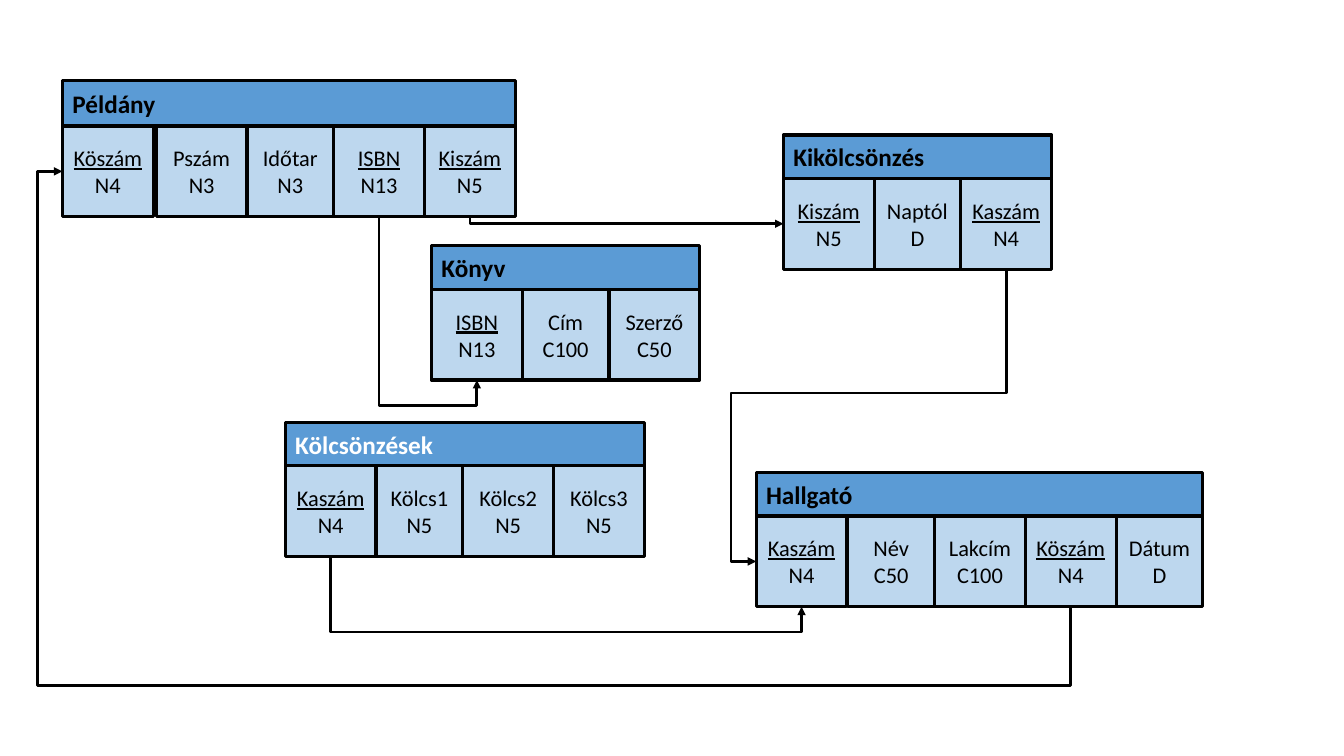
from lxml import etree
from pptx import Presentation
from pptx.dml.color import RGBColor
from pptx.enum.shapes import MSO_CONNECTOR as Conn, MSO_SHAPE as Geo
from pptx.enum.text import MSO_ANCHOR as Anchor, PP_ALIGN as Align
from pptx.oxml.ns import qn
from pptx.util import Pt

PX = 9144  # 100 px to the inch
WIDE, SLIM, TALL = 90, 86, 90
TOP, LEFT, LOW = 0, 1, 2  # connection sites of a box

# title, title colour, x, y, title height, gap after first field,
# fields: name, type, width, is key
TABLES = [
    ("Könyv", "000000", 428, 244, 43, 0, [
        ("ISBN", "N13", WIDE, True), ("Cím", "C100", SLIM, False),
        ("Szerző", "C50", WIDE, False)]),
    ("Példány", "000000", 62, 80, 45, 3, [
        ("Köszám", "N4", WIDE, True), ("Pszám", "N3", WIDE, False),
        ("Időtar", "N3", SLIM, False), ("ISBN", "N13", WIDE, True),
        ("Kiszám", "N5", WIDE, True)]),
    ("Kikölcsönzés", "000000", 777, 134, 43, 0, [
        ("Kiszám", "N5", WIDE, True), ("Naptól", "D", SLIM, False),
        ("Kaszám", "N4", WIDE, True)]),
    ("Hallgató", "000000", 750, 469, 43, 1, [
        ("Kaszám", "N4", WIDE, True), ("Név", "C50", SLIM, False),
        ("Lakcím", "C100", WIDE, False), ("Köszám", "N4", WIDE, True),
        ("Dátum", "D", SLIM, False)]),
    ("Kölcsönzések", "FFFFFF", 283, 419, 43, 0, [
        ("Kaszám", "N4", WIDE, True), ("Kölcs1", "N5", SLIM, False),
        ("Kölcs2", "N5", WIDE, False), ("Kölcs3", "N5", WIDE, False)]),
]

# from field, to field, side reached, bends: y of first turn, x of second
LINKS = [
    (("Példány", "ISBN"), ("Könyv", "ISBN"), TOP + LOW, [402]),
    (("Kikölcsönzés", "Kaszám"), ("Hallgató", "Kaszám"), LEFT, [390, 725]),
    (("Hallgató", "Köszám"), ("Példány", "Köszám"), LEFT, [680, 37]),
    (("Kölcsönzések", "Kaszám"), ("Hallgató", "Kaszám"), LOW, [627]),
    (("Példány", "Kiszám"), ("Kikölcsönzés", "Kiszám"), LEFT, []),
]

deck = Presentation()
deck.slide_width, deck.slide_height = 1333 * PX, 750 * PX
slide = deck.slides.add_slide(deck.slide_layouts[6])


def color(code):
    return RGBColor.from_string(code)


def add_box(x, y, w, h, fill, text, size, ink, align):
    box = slide.shapes.add_shape(
        Geo.FLOWCHART_PROCESS, x * PX, y * PX, w * PX, h * PX)
    box.shadow.inherit = False
    box.fill.solid()
    box.fill.fore_color.rgb = color(fill)
    box.line.color.rgb = color("000000")
    box.line.width = Pt(2.25)
    frame = box.text_frame
    frame.text = text
    frame.vertical_anchor = Anchor.MIDDLE
    for para in frame.paragraphs:
        para.alignment = align
        font = para.runs[0].font
        font.name, font.size = "Calibri", Pt(size)
        font.color.rgb = color(ink)
    return box


def add_link(start, end, side, bends):
    x0, y0 = start.left + start.width // 2, start.top + start.height
    if side == LEFT:
        x1, y1 = end.left, end.top + end.height // 2
    else:
        x1, y1 = end.left + end.width // 2, end.top + end.height
    dx, dy = x1 - x0, y1 - y0
    link = slide.shapes.add_connector(Conn.ELBOW, x0, y0, x1, y1)
    link.begin_connect(start, LOW)
    link.end_connect(end, side)
    link.line.color.rgb = color("000000")
    link.line.width = Pt(2)

    # The path leaves downwards, so its frame is turned a quarter
    link.width, link.height = abs(dy), abs(dx)
    link.left = (x0 + x1 - abs(dy)) // 2
    link.top = (y0 + y1 - abs(dx)) // 2
    props = link._element.spPr
    frame = props.find(qn("a:xfrm"))
    for flip in ("flipH", "flipV"):
        frame.attrib.pop(flip, None)
    frame.set("rot", str((90 if dx < 0 else 270) * 60000))
    if (dx < 0) != (dy > 0):
        frame.set("flipH", "1")

    # Turning points as shares of the height and width
    shape = props.find(qn("a:prstGeom"))
    shape.set("prst", f"bentConnector{2 + len(bends)}")
    guides = shape.find(qn("a:avLst"))
    if guides is None:
        guides = etree.SubElement(shape, qn("a:avLst"))
    for i, (bend, base, span) in enumerate(zip(bends, (y0, x0), (dy, dx)), 1):
        share = round((bend * PX - base) / span * 100000)
        etree.SubElement(guides, qn("a:gd"), name=f"adj{i}", fmla=f"val {share}")

    # Arrowhead, no shadow
    etree.SubElement(props.find(qn("a:ln")), qn("a:tailEnd"), type="triangle")
    etree.SubElement(props, qn("a:effectLst"))


# Tables
boxes = {}
for title, ink, x, y, head, gap, fields in TABLES:
    total = gap + sum(field[2] for field in fields)
    bar = add_box(x, y, total, head, "5B9BD5", title, 18, ink, Align.LEFT)
    bar.text_frame.paragraphs[0].runs[0].font.bold = True
    for i, (name, kind, w, key) in enumerate(fields):
        box = add_box(x, y + head, w, TALL, "BDD7EE", f"{name}\n{kind}",
                      16, "000000", Align.CENTER)
        if key:
            box.text_frame.paragraphs[0].runs[0].font.underline = True
        boxes[title, name] = box
        x += w + (gap if i == 0 else 0)

# Links between keys
for start, end, side, bends in LINKS:
    add_link(boxes[start], boxes[end], side, bends)

deck.save("out.pptx")
